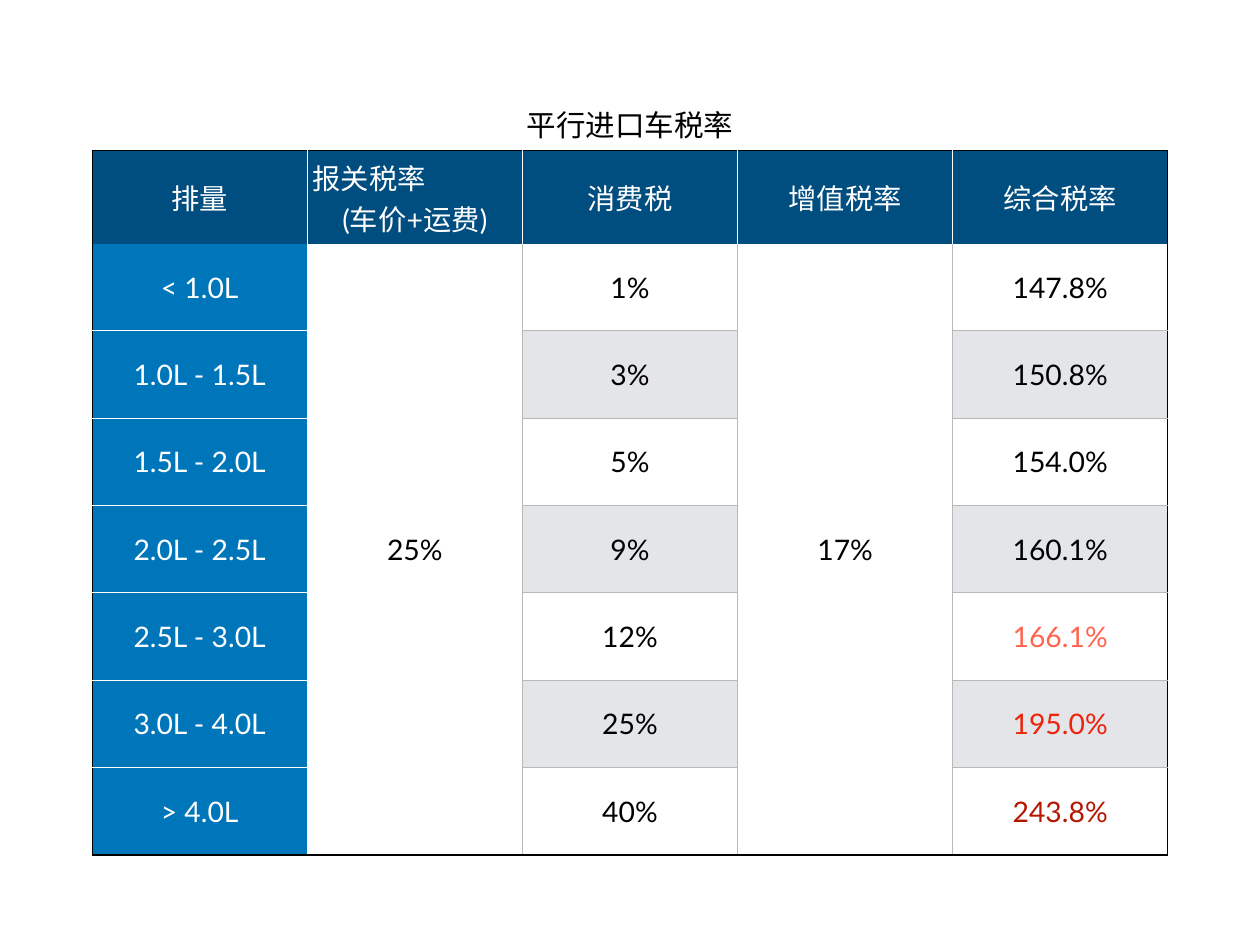
from lxml import etree
from pptx import Presentation
from pptx.dml.color import RGBColor
from pptx.enum.text import MSO_ANCHOR, PP_ALIGN
from pptx.oxml.ns import qn
from pptx.util import Inches, Pt

CENTER = PP_ALIGN.CENTER
MIDDLE = MSO_ANCHOR.MIDDLE

# Content
TITLE = "平行进口车税率"
HEADS = ["排量", "报关税率\n(车价+运费)", "消费税", "增值税率", "综合税率"]
RATES = [
    ("< 1.0L", "25%", "1%", "17%", "147.8%"),
    ("1.0L - 1.5L", "", "3%", "", "150.8%"),
    ("1.5L - 2.0L", "", "5%", "", "154.0%"),
    ("2.0L - 2.5L", "", "9%", "", "160.1%"),
    ("2.5L - 3.0L", "", "12%", "", "166.1%"),
    ("3.0L - 4.0L", "", "25%", "", "195.0%"),
    ("> 4.0L", "", "40%", "", "243.8%"),
]
ALERTS = {"166.1%": "FF644E", "195.0%": "EE230C", "243.8%": "B51600"}
MERGED = (1, 3)

BLACK, WHITE, GREY = "000000", "FFFFFF", "B8B8B8"
NAVY, BLUE, BAND = "004D80", "0076BA", "E3E5E8"

# Layout in inches
LEFT, TOP, WIDTH, HEIGHT = 1.04, 1.1, 12.14, 8.46
TITLE_H = 0.57
COLS = len(HEADS)
ROWS = len(RATES) + 2
ROW_H = (HEIGHT - TITLE_H) / (ROWS - 1)


def color(text):
    return RGBColor.from_string(text)


def side_line(row, edge):
    """Colour of the vertical line at a column edge."""
    if row == 0:
        return None
    if edge in (0, COLS):
        return BLACK
    if row == 1:
        return WHITE
    return None if edge == 1 else GREY


def flat_line(edge, col):
    """Colour of the horizontal line at a row edge."""
    if edge in (1, ROWS):
        return BLACK
    if edge in (0, 2) or col in MERGED:
        return None
    return WHITE if col == 0 else GREY


def draw_line(cell, tag, hue):
    props = cell._tc.get_or_add_tcPr()
    line = etree.SubElement(props, qn(tag), w=str(Pt(1)))
    if hue is None:
        etree.SubElement(line, qn("a:noFill"))
    else:
        fill = etree.SubElement(line, qn("a:solidFill"))
        etree.SubElement(fill, qn("a:srgbClr"), val=hue)


def cell_fill(row, col):
    if row == 1:
        return NAVY
    if col == 0:
        return BLUE
    return BAND if row % 2 and col not in MERGED else WHITE


def set_cell(cell, row, col, text):
    # Borders come before the fill
    last = ROWS if row == 2 and col in MERGED else row + 1
    draw_line(cell, "a:lnL", side_line(row, col))
    draw_line(cell, "a:lnR", side_line(row, col + 1))
    draw_line(cell, "a:lnT", flat_line(row, col))
    draw_line(cell, "a:lnB", flat_line(last, col))
    if row == 0:
        cell.fill.background()
    else:
        cell.fill.solid()
        cell.fill.fore_color.rgb = color(cell_fill(row, col))

    # Text
    cell.margin_left = cell.margin_right = Inches(0.06)
    cell.margin_top = cell.margin_bottom = Inches(0.06)
    cell.vertical_anchor = MIDDLE
    if not text:
        return
    para = cell.text_frame.paragraphs[0]
    para.alignment = CENTER
    para.add_run().text = text
    light = row == 1 or (row > 1 and col == 0)
    para.font.name = "Lato" if row else "Arial"
    para.font.size = Pt(23 if row else 24)
    para.font.color.rgb = color(WHITE if light else ALERTS.get(text, BLACK))


def main():
    deck = Presentation()
    deck.slide_width, deck.slide_height = Inches(14.22), Inches(10.67)
    slide = deck.slides.add_slide(deck.slide_layouts[6])

    # Table grid
    frame = slide.shapes.add_table(ROWS, COLS, Inches(LEFT), Inches(TOP),
                                   Inches(WIDTH), Inches(HEIGHT))
    table = frame.table
    table.first_row = table.horz_banding = False
    for row in table.rows:
        row.height = Inches(ROW_H)
    table.rows[0].height = Inches(TITLE_H)
    table.cell(0, 0).merge(table.cell(0, COLS - 1))
    for col in MERGED:
        table.cell(2, col).merge(table.cell(ROWS - 1, col))

    # Cells
    lines = [[TITLE] + [""] * (COLS - 1), HEADS, *RATES]
    for row, texts in enumerate(lines):
        for col, text in enumerate(texts):
            set_cell(table.cell(row, col), row, col, text)

    deck.save("out.pptx")


if __name__ == "__main__":
    main()
